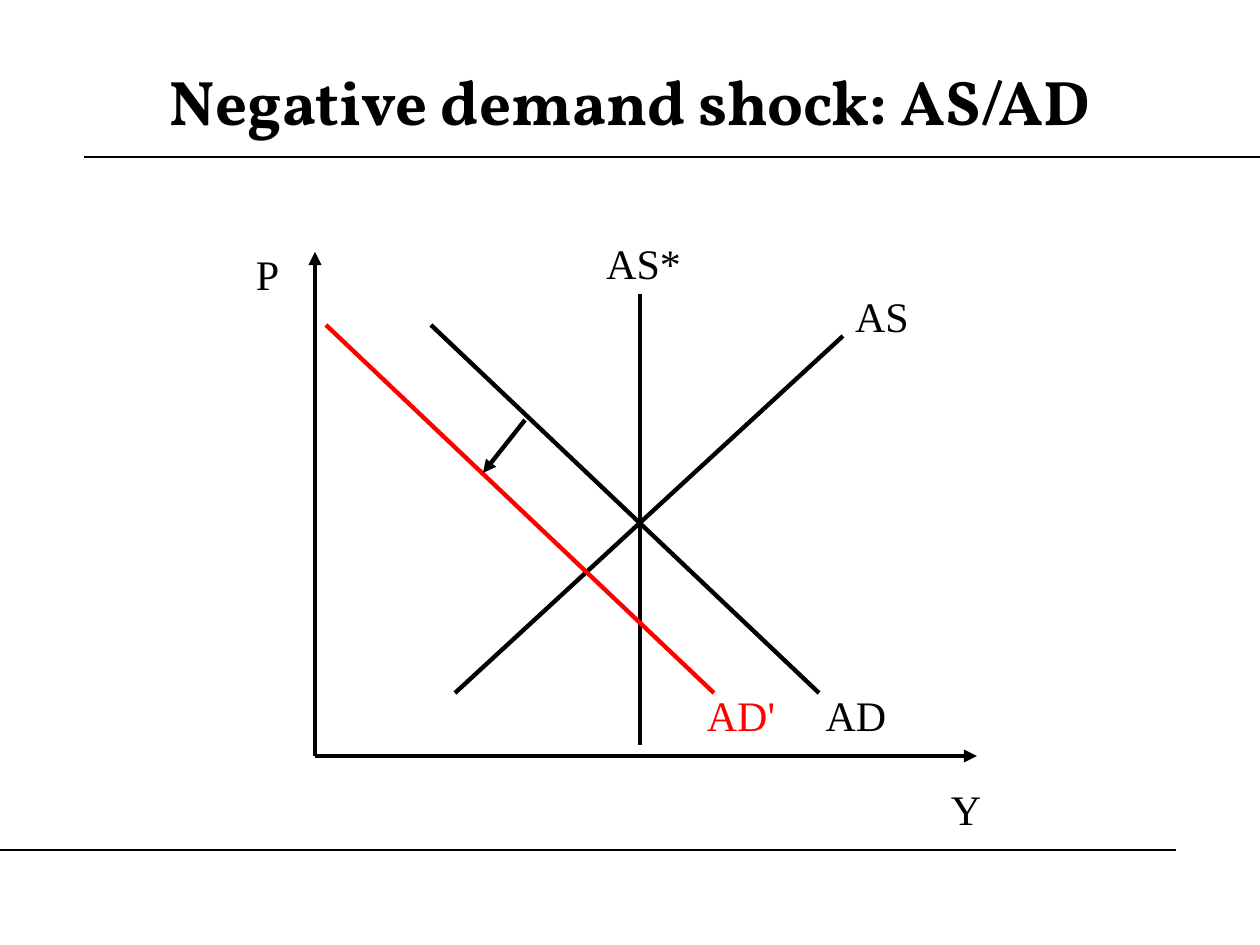
from pptx import Presentation
from pptx.dml.color import RGBColor
from pptx.enum.shapes import MSO_CONNECTOR
from pptx.enum.text import MSO_ANCHOR, PP_ALIGN
from pptx.oxml.ns import qn
from pptx.util import Emu, Pt
from lxml.etree import SubElement

THEME = {
    "black": RGBColor(0, 0, 0),
    "red": RGBColor(255, 0, 0),
    "title": {"name": "Vollkorn", "size": Pt(36), "bold": True},
    "label": {"name": "Times New Roman", "size": Pt(24)},
    "rule": Pt(0.75),
    "curve": Pt(2.5),
}
EMU_PER_PX = 914400 / 126


def px(*lengths):
    return [Emu(round(length * EMU_PER_PX)) for length in lengths]


def write(frame, text, style, color):
    frame.word_wrap = True
    paragraph = frame.paragraphs[0]
    paragraph.text = text
    paragraph.alignment = PP_ALIGN.CENTER
    for attribute, value in THEME[style].items():
        setattr(paragraph.font, attribute, value)
    paragraph.font.color.rgb = THEME[color]


presentation = Presentation()
presentation.slide_width, presentation.slide_height = px(1260, 945)
slide = presentation.slides.add_slide(presentation.slide_layouts[5])

# Title
title = slide.shapes.title
title.left, title.top, title.width, title.height = px(63, 42, 1134, 116)
title.text_frame.vertical_anchor = MSO_ANCHOR.MIDDLE
write(title.text_frame, "Negative demand shock: AS/AD", "title", "black")

# Rules, axes, curves and shift arrow: ends, weight, colour, arrowhead
lines = [
    ((84, 157, 1260, 157), "rule", "black", False),
    ((0, 850, 1176, 850), "rule", "black", False),
    ((315, 756, 977, 756), "curve", "black", True),     # Y axis of output
    ((315, 756, 315, 252), "curve", "black", True),     # P axis of prices
    ((455, 693, 843, 336), "curve", "black", False),    # AS
    ((819, 693, 431, 325), "curve", "black", False),    # AD
    ((640, 745, 640, 294), "curve", "black", False),    # AS*
    ((714, 693, 326, 325), "curve", "red", False),      # AD'
    ((525, 420, 483, 473), "curve", "black", True),     # shift of demand
]
for ends, weight, color, has_arrow in lines:
    connector = slide.shapes.add_connector(MSO_CONNECTOR.STRAIGHT, *px(*ends))
    connector.line.width = THEME[weight]
    connector.line.color.rgb = THEME[color]
    if has_arrow:
        SubElement(connector.line._get_or_add_ln(), qn("a:tailEnd"), type="triangle")
    SubElement(connector._element.spPr, qn("a:effectLst"))

# Axis and curve labels: left, top, width
labels = [
    ("Y", 924, 777, 84, "black"),
    ("P", 231, 242, 73, "black"),
    ("AS", 840, 284, 84, "black"),
    ("AD", 798, 683, 116, "black"),
    ("AS*", 591, 231, 105, "black"),
    ("AD'", 683, 683, 116, "red"),
]
for text, left, top, width, color in labels:
    label = slide.shapes.add_textbox(*px(left, top, width, 63))
    write(label.text_frame, text, "label", color)

presentation.save("out.pptx")
